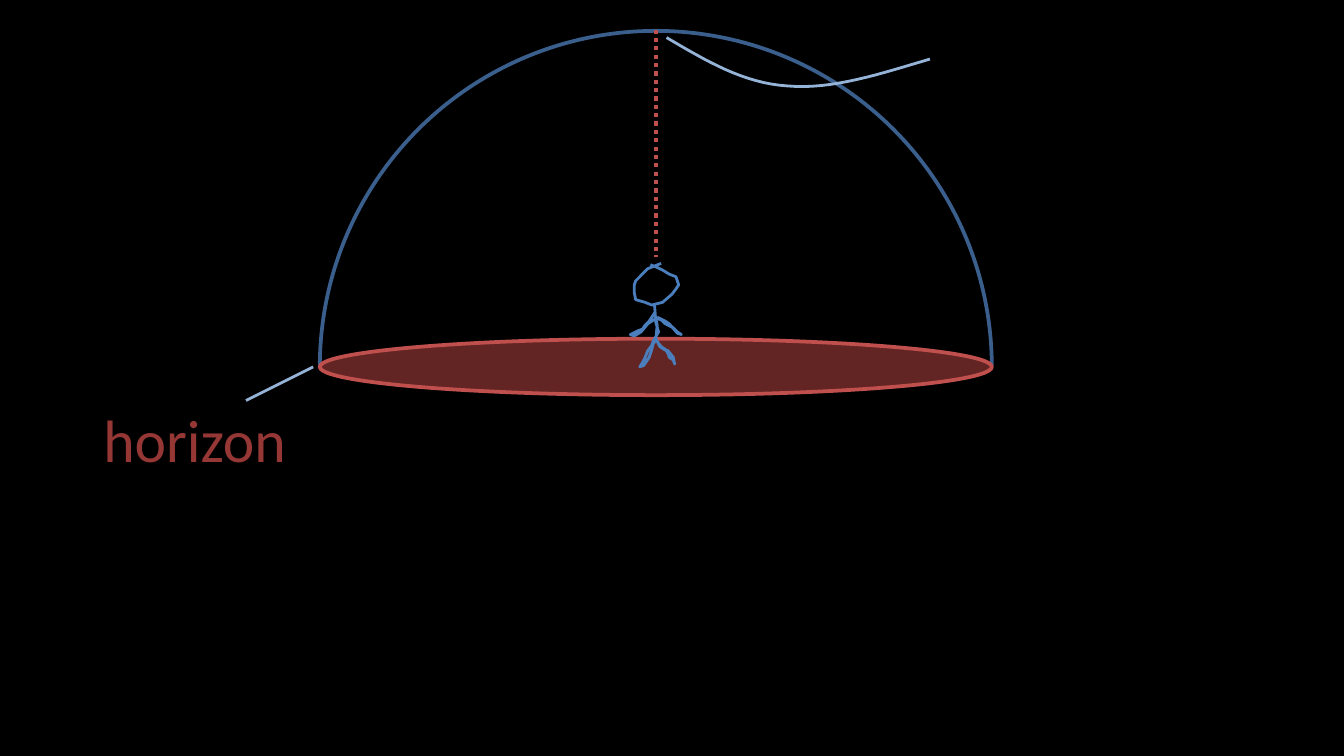
from lxml.etree import SubElement
from pptx import Presentation
from pptx.dml.color import RGBColor
from pptx.enum.dml import MSO_LINE
from pptx.enum.shapes import MSO_CONNECTOR, MSO_SHAPE
from pptx.enum.text import MSO_AUTO_SIZE
from pptx.oxml.ns import qn
from pptx.util import Inches, Pt

BLACK = "000000"
RED = "C0504D"
PALE_BLUE = "95B3D7"
FIGURE_BLUE = "4B7EBC"

HEAD = [
    (0.23, 0), (0.13, 0.04), (0.04, 0.13), (0.03, 0.16), (0.03, 0.22),
    (0.04, 0.27), (0.11, 0.29), (0.16, 0.31), (0.24, 0.29), (0.31, 0.23),
    (0.34, 0.19), (0.36, 0.16), (0.34, 0.1), (0.29, 0.08), (0.24, 0.05),
    (0.2, 0.03), (0.15, 0.01),
]
BODY = [
    (0.18, 0.31), (0.19, 0.44), (0.21, 0.51), (0.17, 0.58), (0.16, 0.61),
    (0.13, 0.65), (0.11, 0.7), (0.09, 0.74), (0.07, 0.77), (0.1, 0.76),
    (0.14, 0.7), (0.16, 0.64), (0.17, 0.6), (0.19, 0.57), (0.23, 0.62),
    (0.26, 0.64), (0.28, 0.67), (0.29, 0.7), (0.32, 0.72), (0.33, 0.75),
    (0.32, 0.7), (0.28, 0.65), (0.25, 0.64), (0.22, 0.62), (0.19, 0.56),
    (0.2, 0.46), (0.18, 0.37), (0.14, 0.43), (0.11, 0.46), (0.09, 0.49),
    (0.06, 0.5), (0, 0.53), (0.03, 0.54), (0.08, 0.51), (0.13, 0.45),
    (0.19, 0.41), (0.23, 0.42), (0.26, 0.45), (0.32, 0.48), (0.35, 0.51),
    (0.38, 0.53), (0.35, 0.52), (0.29, 0.45), (0.26, 0.43), (0.2, 0.4),
]


def rgb(value):
    return RGBColor.from_string(value)


def style(sp, line, width, fill=None):
    sp.shadow.inherit = False
    if fill:
        sp.fill.solid()
        sp.fill.fore_color.rgb = rgb(fill)
    else:
        sp.fill.background()
    sp.line.color.rgb = rgb(line)
    sp.line.width = Pt(width)


def add_preset(slide, kind, box, line, fill=None):
    sp = slide.shapes.add_shape(kind, *[Inches(v) for v in box])
    style(sp, line, 2, fill)


def add_line(slide, start, end, color, width, dash=None):
    ends = [Inches(v) for v in (*start, *end)]
    cx = slide.shapes.add_connector(MSO_CONNECTOR.STRAIGHT, *ends)
    cx.line.color.rgb = rgb(color)
    cx.line.width = Pt(width)
    if dash:
        cx.line.dash_style = dash
    SubElement(cx._element.spPr, qn("a:effectLst"))


def add_stroke(slide, left, top, points, color):
    pts = [(Inches(left + x), Inches(top + y)) for x, y in points]
    builder = slide.shapes.build_freeform(*pts[0])
    builder.add_line_segments(pts[1:], close=False)
    style(builder.convert_to_shape(), color, 1.5)


def bezier(p0, p1, p2, p3, steps=16):
    points = []
    for i in range(steps + 1):
        t = i / steps
        u = 1 - t
        weights = (u ** 3, 3 * u * u * t, 3 * u * t * t, t ** 3)
        points.append(tuple(
            sum(w * p[axis] for w, p in zip(weights, (p0, p1, p2, p3)))
            for axis in (0, 1)
        ))
    return points


def add_sky_dome(slide, left, top, size):
    middle = top + size / 2
    ground = 0.42
    add_preset(slide, MSO_SHAPE.OVAL, (left, top, size, size), "3A5F8C")
    add_preset(slide, MSO_SHAPE.RECTANGLE, (left, middle, size, 2.75), BLACK, BLACK)
    add_preset(slide, MSO_SHAPE.OVAL, (left, middle - ground / 2, size, ground),
               RED, "632523")


def add_observer(slide, left, top):
    for points in (HEAD, BODY):
        add_stroke(slide, left, top, points, FIGURE_BLUE)


def add_zenith(slide, x, top):
    add_line(slide, (x, top), (x, top + 1.69), RED, 2.25, MSO_LINE.ROUND_DOT)


def add_zenith_pointer(slide, left, top):
    curve = bezier((0, 0), (0.29, 0.17), (0.57, 0.34), (0.9, 0.36))
    curve += bezier((0.9, 0.36), (1.23, 0.39), (1.59, 0.27), (1.96, 0.16))[1:]
    add_stroke(slide, left, top, curve, PALE_BLUE)


def add_horizon_label(slide, left, top, width, height):
    add_line(slide, (left + 1.66, top - 0.22), (left + 1.16, top + 0.03),
             PALE_BLUE, 1.5)
    box = [Inches(v) for v in (left, top, width, height)]
    tf = slide.shapes.add_textbox(*box).text_frame
    tf.word_wrap = True
    tf.auto_size = MSO_AUTO_SIZE.SHAPE_TO_FIT_TEXT
    r = tf.paragraphs[0].add_run()
    r.text = "horizon"
    r.font.name = "Calibri"
    r.font.size = Pt(32)
    r.font.color.rgb = rgb("953735")


def main():
    prs = Presentation()
    prs.slide_width = Inches(10)
    prs.slide_height = prs.slide_width * 9 // 16
    slide = prs.slides.add_slide(prs.slide_layouts[6])
    slide.background.fill.solid()
    slide.background.fill.fore_color.rgb = rgb(BLACK)
    add_sky_dome(slide, 2.38, 0.23, 5)
    add_observer(slide, 4.69, 1.96)
    add_zenith(slide, 4.88, 0.22)
    add_horizon_label(slide, 0.67, 2.95, 1.58, 0.64)
    add_zenith_pointer(slide, 4.96, 0.28)
    prs.save("out.pptx")


if __name__ == "__main__":
    main()
